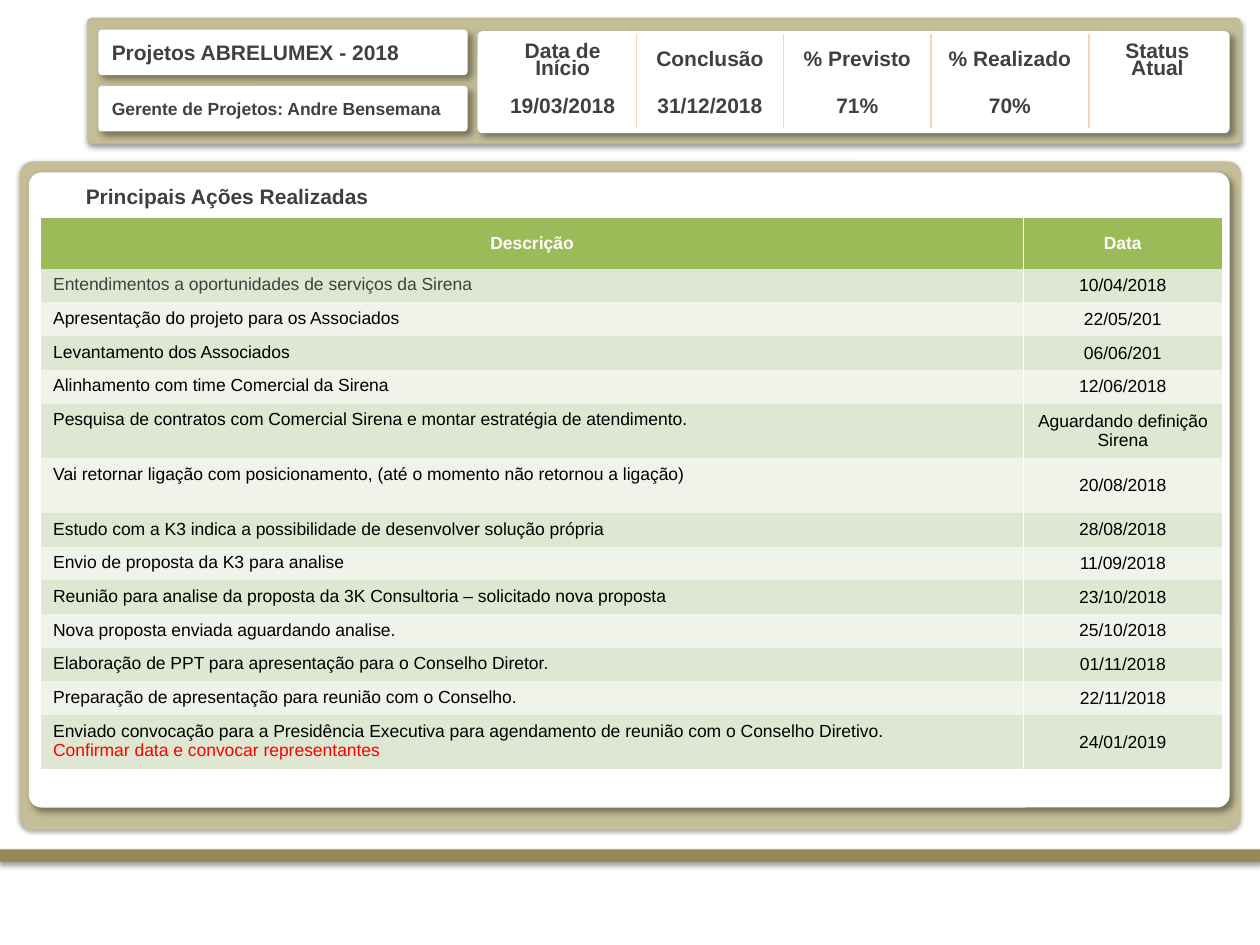
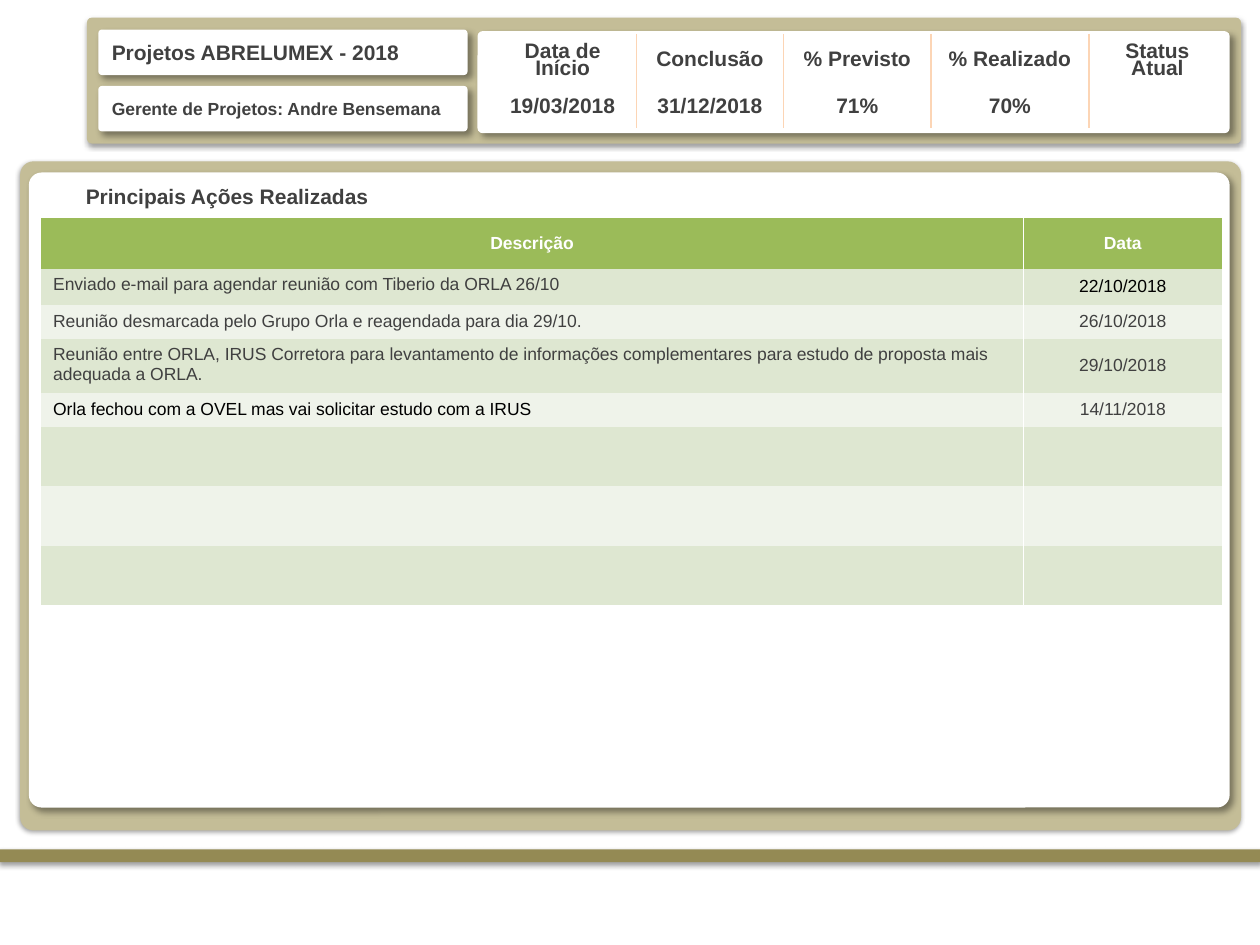
from dataclasses import dataclass
from lxml.etree import SubElement
from pptx import Presentation
from pptx.dml.color import RGBColor
from pptx.enum.shapes import MSO_SHAPE as Preset
from pptx.enum.text import MSO_ANCHOR as Anchor, PP_ALIGN as Align
from pptx.oxml import parse_xml
from pptx.oxml.ns import nsdecls, qn
from pptx.util import Pt


@dataclass(frozen=True)
class Theme:
    font: str = "Arial"
    heading_size: float = 12
    text_size: float = 10
    white: str = "FFFFFF"
    black: str = "000000"
    gray: str = "404040"
    red: str = "FF0000"
    olive: str = "948A54"
    sand: str = "C4BD97"
    peach: str = "FCD5B5"
    green: str = "9BBB59"
    bands: tuple = ("DEE7D1", "EFF3EA")
    plain_table: str = "{2D5ABB26-0587-4C30-8999-92F81FD0307C}"


THEME = Theme()


@dataclass(frozen=True)
class Box:
    left: float
    top: float
    width: float
    height: float

    def inner(self, left, top, width, height):
        return Box(self.left + left, self.top + top, width, height)

    def lengths(self):
        return [Pt(value) for value in (self.left, self.top, self.width, self.height)]


@dataclass(frozen=True)
class Shadow:
    opacity: int
    blur: float
    distance: float
    angle: int


@dataclass(frozen=True)
class Action:
    description: str
    date: str
    height: float = 19.25
    ink: str = THEME.black
    date_ink: str = THEME.black
    alert: str = ""


BASE_SHADOW = Shadow(38, 3.1, 1.6, 90)
CARD_SHADOW = Shadow(40, 4, 3, 45)
FOOTER_BOX = Box(0, 485.4, 720, 7.2)
HEADER_BOX = Box(49.7, 10.1, 659.5, 72)
ACTIONS_BOX = Box(11.5, 92.2, 697.7, 382.3)

SCHEDULE = [
    ("Data de\nInício", "19/03/2018", 84.2),
    ("Conclusão", "31/12/2018", 84.2),
    ("% Previsto", "71%", 84.2),
    ("% Realizado", "70%", 90.2),
    ("Status\nAtual", "", 78.4),
]

PROJECT_ACTIONS = [
    Action("Entendimentos a oportunidades de serviços da Sirena", "10/04/2018", ink=THEME.gray),
    Action("Apresentação do projeto para os Associados", "22/05/201"),
    Action("Levantamento dos Associados", "06/06/201"),
    Action("Alinhamento com time Comercial da Sirena", "12/06/2018"),
    Action("Pesquisa de contratos com Comercial Sirena e montar estratégia de atendimento.",
           "Aguardando definição Sirena", 31.3),
    Action("Vai retornar ligação com posicionamento, (até o momento não retornou a ligação)",
           "20/08/2018", 31.3),
    Action("Estudo com a K3 indica a possibilidade de desenvolver solução própria", "28/08/2018"),
    Action("Envio de proposta da K3 para analise", "11/09/2018"),
    Action("Reunião para analise da proposta da 3K Consultoria – solicitado nova proposta",
           "23/10/2018"),
    Action("Nova proposta enviada aguardando analise.", "25/10/2018"),
    Action("Elaboração de PPT para apresentação para o Conselho Diretor.", "01/11/2018"),
    Action("Preparação de apresentação para reunião com o Conselho.", "22/11/2018"),
    Action("Enviado convocação para a Presidência Executiva para agendamento de reunião "
           "com o Conselho Diretivo.", "24/01/2019", 31,
           alert="Confirmar data e convocar representantes"),
]

BROKER_ACTIONS = [
    Action("Enviado e-mail para agendar reunião com Tiberio da ORLA 26/10", "22/10/2018",
           20.75, THEME.gray),
    Action("Reunião desmarcada pelo Grupo Orla e reagendada para dia 29/10.", "26/10/2018",
           ink=THEME.gray, date_ink=THEME.gray),
    Action("Reunião entre ORLA, IRUS Corretora para levantamento de informações complementares "
           "para estudo de proposta mais adequada a ORLA.", "29/10/2018", 31,
           THEME.gray, THEME.gray),
    Action("Orla fechou com a OVEL mas vai solicitar estudo com a IRUS", "14/11/2018",
           date_ink=THEME.gray),
    *[Action("", "", 34)] * 3,
]


def write(paragraph, text, size, color, bold=False, align=Align.LEFT, spacing=None):
    paragraph.alignment = align
    if spacing:
        paragraph.line_spacing = spacing
    if text:
        run = paragraph.add_run()
        run.text = text
        run.font.name = THEME.font
        run.font.size = Pt(size)
        run.font.bold = bold
        run.font.color.rgb = RGBColor.from_string(color)


def add_card(slide, box, color, rounding, shadow):
    card = slide.shapes.add_shape(Preset.ROUNDED_RECTANGLE, *box.lengths())
    card.adjustments[0] = rounding
    card.fill.solid()
    card.fill.fore_color.rgb = RGBColor.from_string(color)
    card.line.fill.background()
    card.shadow.inherit = False
    effects = card.element.spPr.find(qn("a:effectLst"))
    outer = SubElement(effects, qn("a:outerShdw"), blurRad=str(Pt(shadow.blur)),
                       dist=str(Pt(shadow.distance)), dir=str(shadow.angle * 60000),
                       algn="ctr", rotWithShape="0")
    ink = SubElement(outer, qn("a:srgbClr"), val=THEME.black)
    SubElement(ink, qn("a:alpha"), val=str(shadow.opacity * 1000))
    return card


def add_label(slide, box, text, size):
    card = add_card(slide, box, THEME.white, 0.08, CARD_SHADOW)
    card.text_frame.word_wrap = True
    card.text_frame.vertical_anchor = Anchor.MIDDLE
    write(card.text_frame.paragraphs[0], text, size, THEME.gray, bold=True)


def add_grid(slide, box, widths, heights, divider):
    frame = slide.shapes.add_table(len(heights), len(widths), *box.lengths())
    frame.element.xpath(".//a:tableStyleId")[0].text = THEME.plain_table
    table = frame.table
    table.first_row = table.horz_banding = False
    for column, width in zip(table.columns, widths):
        column.width = Pt(width)
    for row, height in zip(table.rows, heights):
        row.height = Pt(height)
        for index, cell in enumerate(row.cells):
            cell.vertical_anchor = Anchor.MIDDLE
            if index < len(widths) - 1:
                add_border(cell, "lnR", divider)
            if index:
                add_border(cell, "lnL", divider)
    return table


def add_border(cell, side, color):
    border = parse_xml(
        f'<a:{side} {nsdecls("a")} w="{Pt(1)}"><a:solidFill>'
        f'<a:srgbClr val="{color}"/></a:solidFill></a:{side}>')
    cell._tc.get_or_add_tcPr().insert(0, border)


def fill_cell(cell, color):
    cell.fill.solid()
    cell.fill.fore_color.rgb = RGBColor.from_string(color)


def add_schedule(slide, box):
    widths = [width for _, _, width in SCHEDULE]
    table = add_grid(slide, box, widths, (31.7, 21.3), THEME.peach)
    for column, (label, value, _) in enumerate(SCHEDULE):
        for row, (text, spacing) in enumerate(((label, 0.75), (value, 0.65))):
            cell = table.cell(row, column)
            cell.margin_top = cell.margin_bottom = 0
            for index, line in enumerate(text.split("\n")):
                frame = cell.text_frame
                paragraph = frame.add_paragraph() if index else frame.paragraphs[0]
                write(paragraph, line, THEME.heading_size, THEME.gray, True,
                      Align.CENTER, spacing)


def add_header(slide, box):
    add_card(slide, box, THEME.sand, 0.04, BASE_SHADOW)
    labels = (("Projetos ABRELUMEX - 2018", THEME.heading_size),
              ("Gerente de Projetos: Andre Bensemana", THEME.text_size))
    for index, (text, size) in enumerate(labels):
        add_label(slide, box.inner(6.5, 6.8 + index * 32.2, 211, 26), text, size)
    add_card(slide, box.inner(223.2, 7.7, 429.8, 58.3), THEME.white, 0.05, CARD_SHADOW)
    add_schedule(slide, box.inner(229.7, 9.3, 421.2, 53))


def build_layout(slide):
    add_card(slide, FOOTER_BOX, THEME.olive, 0, BASE_SHADOW)
    add_header(slide, HEADER_BOX)
    layout_tree = slide.slide_layout.shapes.element
    shared = [shape for shape in slide.shapes if not shape.is_placeholder]
    for number, shape in enumerate(shared, 100):
        shape.element.xpath(".//p:cNvPr")[0].set("id", str(number))
        layout_tree.append(shape.element)


def place_title(slide, box, text):
    title = slide.shapes.title
    title.left, title.top, title.width, title.height = box.lengths()
    frame = title.text_frame
    frame.margin_left = frame.margin_right = frame.margin_top = frame.margin_bottom = 0
    frame.vertical_anchor = Anchor.MIDDLE
    write(frame.paragraphs[0], text, THEME.heading_size, THEME.gray, bold=True)
    slide.shapes.element.append(title.element)


def add_actions_table(slide, box, actions):
    heights = [29] + [action.height for action in actions]
    table = add_grid(slide, box, (561.6, 113.6), heights, THEME.white)
    for cell, heading in zip(table.rows[0].cells, ("Descrição", "Data")):
        fill_cell(cell, THEME.green)
        write(cell.text_frame.paragraphs[0], heading, THEME.text_size, THEME.white, True,
              Align.CENTER)
    for index, action in enumerate(actions):
        description, date = table.rows[index + 1].cells
        for cell in (description, date):
            fill_cell(cell, THEME.bands[index % 2])
        description.vertical_anchor = Anchor.TOP
        frame = description.text_frame
        write(frame.paragraphs[0], action.description, THEME.text_size, action.ink)
        if action.alert:
            write(frame.add_paragraph(), action.alert, THEME.text_size, THEME.red)
        write(date.text_frame.paragraphs[0], action.date, THEME.text_size, action.date_ink,
              align=Align.CENTER)


def add_actions_panel(slide, box, actions):
    add_card(slide, box, THEME.sand, 0.02, BASE_SHADOW)
    add_card(slide, box.inner(5, 6.4, 686.2, 362.9), THEME.white, 0.02, CARD_SHADOW)
    place_title(slide, box.inner(37.5, 11.8, 400, 16), "Principais Ações Realizadas")
    height = 29 + sum(action.height for action in actions)
    add_actions_table(slide, box.inner(11.7, 32.4, 675.2, height), actions)


def main():
    presentation = Presentation()
    presentation.slide_width, presentation.slide_height = Pt(720), Pt(540)
    layout = presentation.slide_layouts[5]
    for index, actions in enumerate((PROJECT_ACTIONS, BROKER_ACTIONS)):
        slide = presentation.slides.add_slide(layout)
        if index == 0:
            build_layout(slide)
        add_actions_panel(slide, ACTIONS_BOX, actions)
    presentation.save("out.pptx")


if __name__ == "__main__":
    main()
